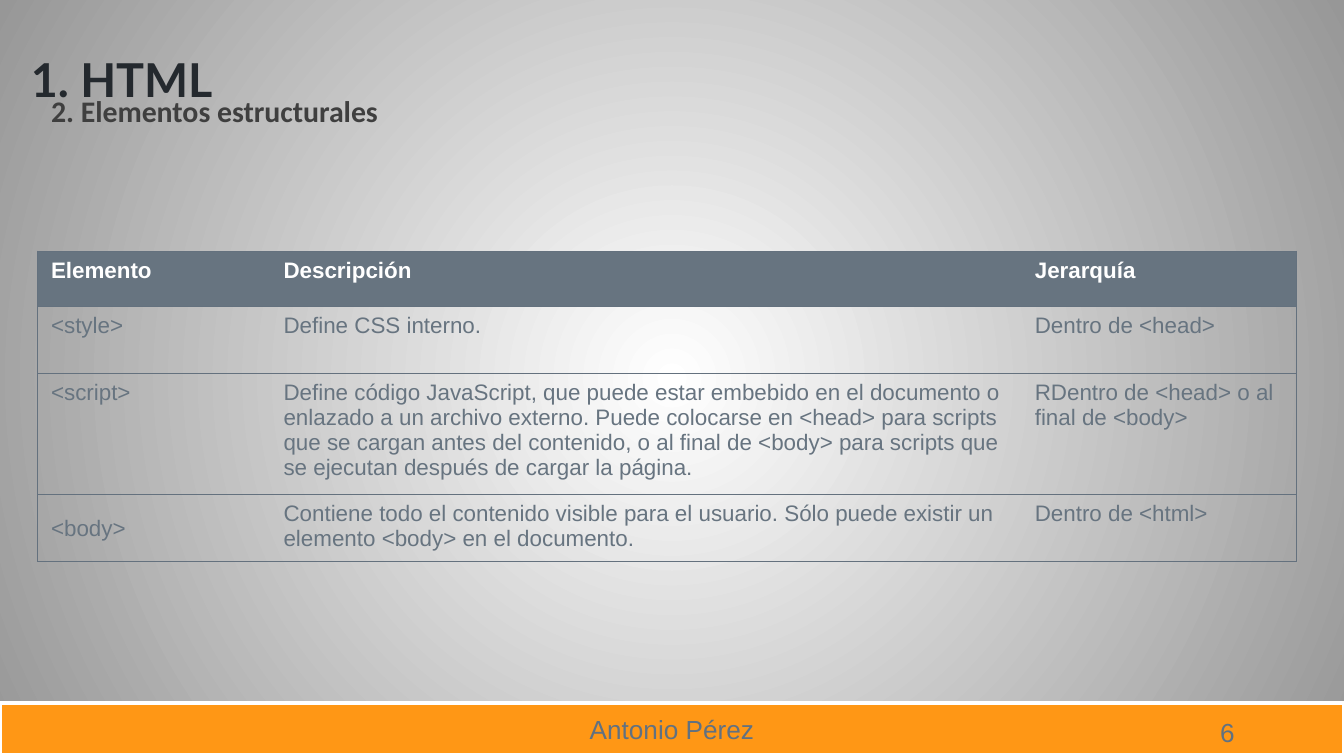
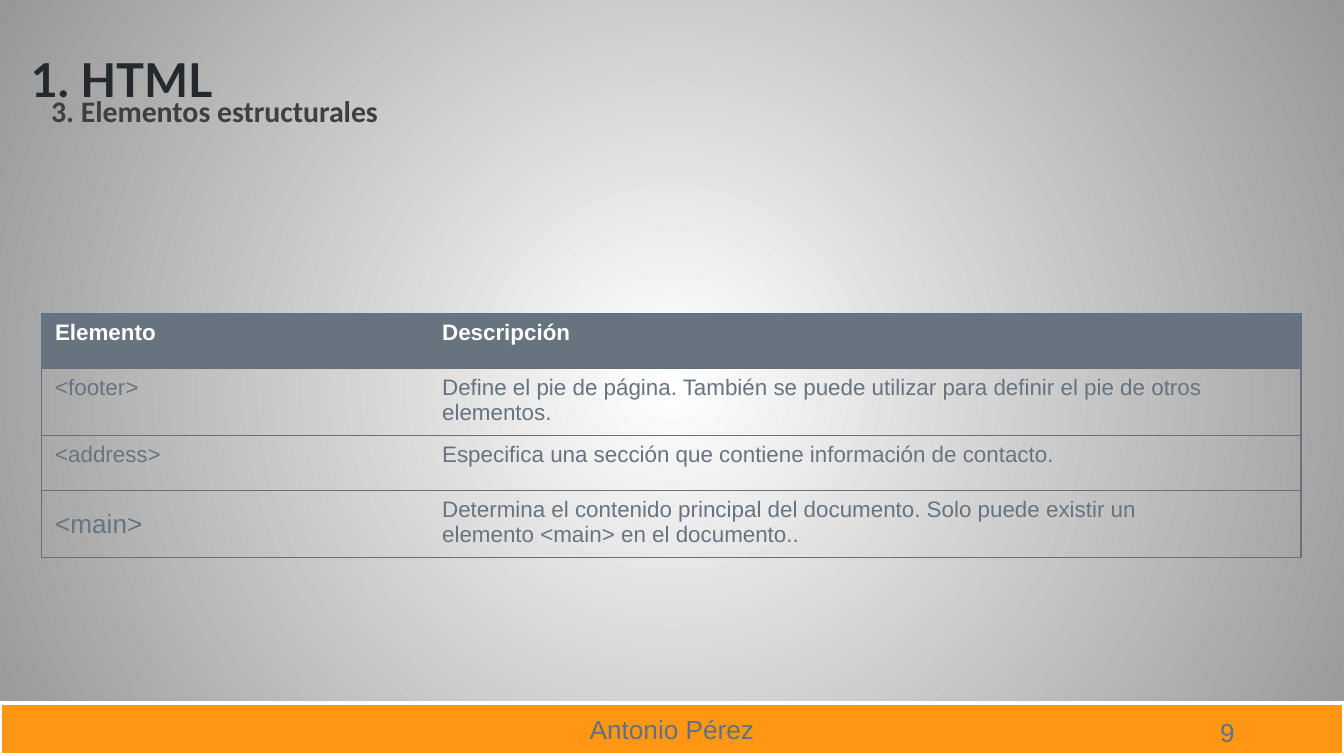
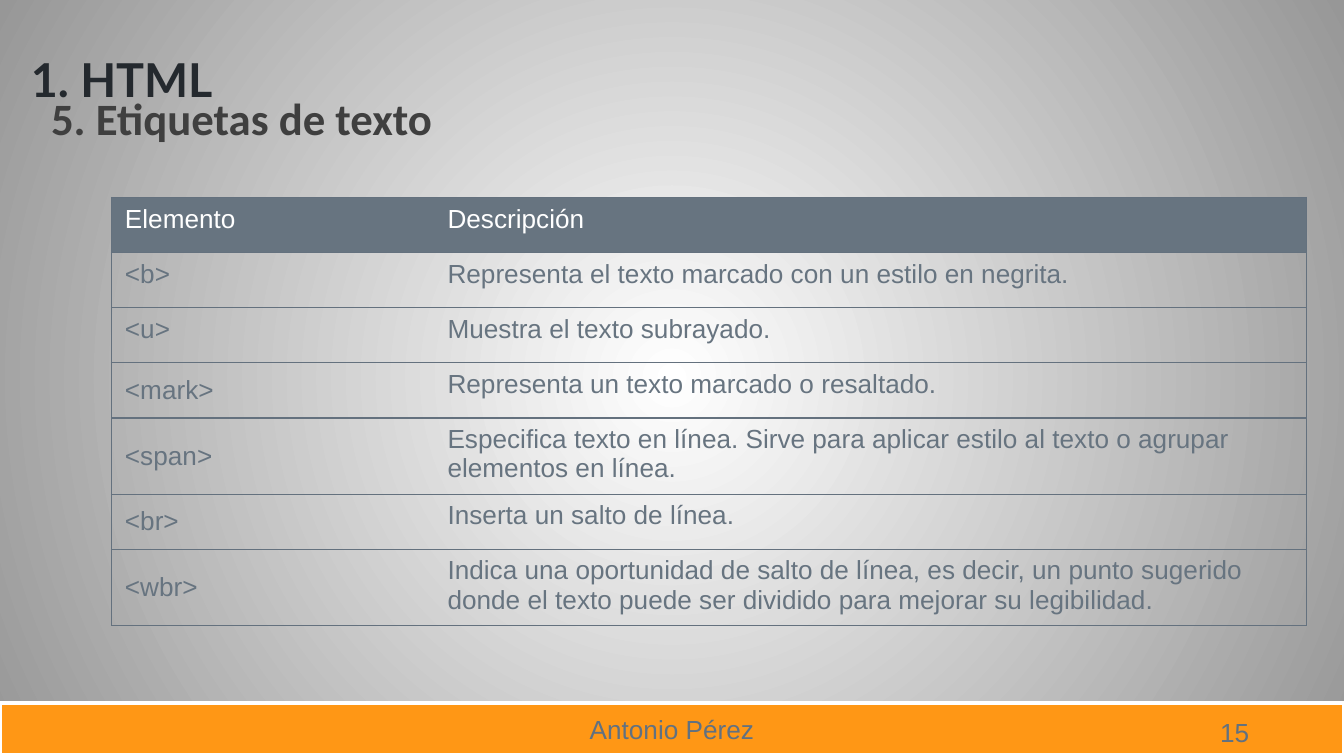
from dataclasses import dataclass

from lxml import etree
from pptx import Presentation
from pptx import util as u
from pptx.dml.color import RGBColor
from pptx.enum import shapes, text
from pptx.oxml import ns, parse_xml

COLORS = {
    "center": "FFFFFF", "edge": "979797", "band": "FF9715", "white": "FFFFFF",
    "foot": "617181", "title": "24292E", "sub": "3F3F3F",
    "head": "677480", "body": "677480", "rule": "64717E",
}
AUTHOR = "Antonio Pérez"
TITLE = "1. HTML"
HARD = chr(160)     # space that does not break
TOP, MID, LOW = (text.MSO_ANCHOR.TOP, text.MSO_ANCHOR.MIDDLE,
                 text.MSO_ANCHOR.BOTTOM)


@dataclass
class Style:
    font: str
    size: float
    color: str
    bold: bool = False


@dataclass
class Box:
    left: float
    top: float
    width: float
    height: float

    def place(self) -> tuple:
        return tuple(u.Inches(n) for n in
                     (self.left, self.top, self.width, self.height))


@dataclass
class Row:
    cells: tuple
    mid: bool = False       # centre the tag in its cell
    height: float = 0.41    # least height, grows with the text
    tag_size: float = 0     # 0 keeps the size of the grid


@dataclass
class Page:
    number: int
    sub: str
    sub_size: float
    grid: Box
    cols: tuple
    rows: tuple
    size: float = 12
    bold_head: bool = True


FOOT = Style("Arial", 14, "foot")

PAGES = (
    Page(6, "2. Elementos estructurales", 16,
         Box(0.28, 1.87, 9.37, 2.31), (1.73, 5.59, 2.05), (
             Row(("Elemento", "Descripción", "Jerarquía")),
             Row(("<style>", "Define CSS interno.", "Dentro de <head>"),
                 height=0.5),
             Row(("<script>",
                  "Define código JavaScript, que puede estar embebido en el "
                  "documento o enlazado a un archivo externo. Puede colocarse "
                  "en <head> para scripts que se cargan antes del contenido, "
                  "o al final de <body> para scripts que se ejecutan después "
                  "de cargar la página.",
                  "RDentro de <head> o al final de <body>")),
             Row(("<body>",
                  "Contiene todo el contenido visible para el usuario. Sólo "
                  "puede existir un elemento <body> en el documento.",
                  "Dentro de <html>"), mid=True),
         )),
    Page(9, "3. Elementos estructurales", 16,
         Box(0.31, 2.33, 9.37, 1.81), (2.88, 6.49), (
             Row(("Elemento", "Descripción")),
             Row(("<footer>",
                  "Define el pie de página. También se puede utilizar para "
                  "definir el pie de otros elementos.")),
             Row(("<address>",
                  "Especifica una sección que contiene información de "
                  "contacto.")),
             Row(("<main>",
                  "Determina el contenido principal del documento. Solo puede "
                  f"existir un elemento{HARD}<main>{HARD}en el documento.."),
                 mid=True, tag_size=14),
         )),
    Page(15, "5. Etiquetas de texto", 24,
         Box(0.83, 1.47, 8.88, 3.16), (2.4, 6.49), (
             Row(("Elemento", "Descripción")),
             Row(("<b>",
                  "Representa el texto marcado con un estilo en negrita.")),
             Row(("<u>", "Muestra el texto subrayado.")),
             Row(("<mark>", "Representa un texto marcado o resaltado."),
                 mid=True),
             Row(("<span>",
                  "Especifica texto en línea. Sirve para aplicar estilo al "
                  "texto o agrupar elementos en línea."), mid=True),
             Row(("<br>", "Inserta un salto de línea."), mid=True),
             Row(("<wbr>",
                  "Indica una oportunidad de salto de línea, es decir, un "
                  "punto sugerido donde el texto puede ser dividido para "
                  "mejorar su legibilidad."), mid=True),
         ), size=14, bold_head=False),
)


def rgb(name: str) -> RGBColor:
    return RGBColor.from_string(COLORS[name])


def write(frame, words: str, style: Style):
    """Fill a text frame and format its only paragraph."""
    frame.text = words
    para = frame.paragraphs[0]
    for run in para.runs:
        run.font.name = style.font
        run.font.size = u.Pt(style.size)
        run.font.bold = style.bold
        run.font.color.rgb = rgb(style.color)
    return para


def add_text(slide, box: Box, words: str, style: Style, anchor=TOP,
             inset: tuple = (0.1, 0.05), space: float = 1) -> None:
    frame = slide.shapes.add_textbox(*box.place()).text_frame
    frame.word_wrap = True
    frame.vertical_anchor = anchor
    frame.margin_left = u.Inches(inset[0])
    frame.margin_top = frame.margin_bottom = u.Inches(inset[1])
    write(frame, words, style).line_spacing = space


# Background: a round gradient from the centre, set on the master
def paint_back(master) -> None:
    fill = master.background.fill
    fill.gradient()
    for stop, name, place in zip(fill.gradient_stops, ("center", "edge"), (0, 1)):
        stop.color.rgb = rgb(name)
        stop.position = place
    grad = master._element.find(".//" + ns.qn("a:gradFill"))
    grad.replace(grad.find(ns.qn("a:lin")), parse_xml(
        f'<a:path {ns.nsdecls("a")} path="circle"><a:fillToRect '
        'l="50000" t="50000" r="50000" b="50000"/></a:path>'))


# Footer band and page number
def add_foot(slide, number: int) -> None:
    band = slide.shapes.add_shape(shapes.MSO_SHAPE.RECTANGLE,
                                  *Box(0, 5.23, 10, 0.39).place())
    band.shadow.inherit = False
    band.fill.solid()
    band.fill.fore_color.rgb = rgb("band")
    band.line.color.rgb = rgb("white")
    band.line.width = u.Pt(2)
    band.text_frame.vertical_anchor = MID
    write(band.text_frame, AUTHOR, FOOT).alignment = text.PP_ALIGN.CENTER
    add_text(slide, Box(8.98, 5.28, 0.6, 0.34), str(number), FOOT)


# Table: ruled rows, an outer frame and no inner uprights
def rule_cell(cell, sides: str) -> None:
    props = cell._tc.get_or_add_tcPr()
    for side in "LRTB":
        line = etree.SubElement(props, ns.qn(f"a:ln{side}"), w=str(u.Pt(0.75)))
        if side in sides:
            fill = etree.SubElement(line, ns.qn("a:solidFill"))
            etree.SubElement(fill, ns.qn("a:srgbClr"), val=COLORS["rule"])
        else:
            etree.SubElement(line, ns.qn("a:noFill"))


def add_grid(slide, page: Page) -> None:
    last = len(page.cols) - 1
    table = slide.shapes.add_table(len(page.rows), len(page.cols),
                                   *page.grid.place()).table
    table.first_row = table.horz_banding = False
    for col, width in zip(table.columns, page.cols):
        col.width = u.Inches(width)
    for r, row in enumerate(page.rows):
        table.rows[r].height = u.Inches(row.height)
        for c, words in enumerate(row.cells):
            cell = table.cell(r, c)
            rule_cell(cell, "TB" + "L" * (c == 0) + "R" * (c == last))
            style = Style("Arial", page.size, "body")
            if r == 0:
                style = Style("Arial", page.size, "white", page.bold_head)
                cell.fill.solid()
                cell.fill.fore_color.rgb = rgb("head")
            else:
                cell.fill.background()
            if c == 0:
                style.size = row.tag_size or page.size
                cell.vertical_anchor = MID if row.mid else TOP
            write(cell.text_frame, words, style)


def main() -> None:
    deck = Presentation()
    deck.slide_width = u.Inches(10)
    deck.slide_height = deck.slide_width * 9 // 16
    paint_back(deck.slide_master)
    for page in PAGES:
        slide = deck.slides.add_slide(deck.slide_layouts[6])
        add_foot(slide, page.number)
        add_text(slide, Box(0, 0.68, 9.72, 3.3), page.sub,
                 Style("Calibri", page.sub_size, "sub", True),
                 inset=(0.38, 0.04), space=0.9)
        add_text(slide, Box(0.16, 0.17, 8.25, 0.67), TITLE,
                 Style("Lato", 25, "title", True), LOW,
                 inset=(0.07, 0.04), space=0.85)
        add_grid(slide, page)
    deck.save("out.pptx")


if __name__ == "__main__":
    main()
